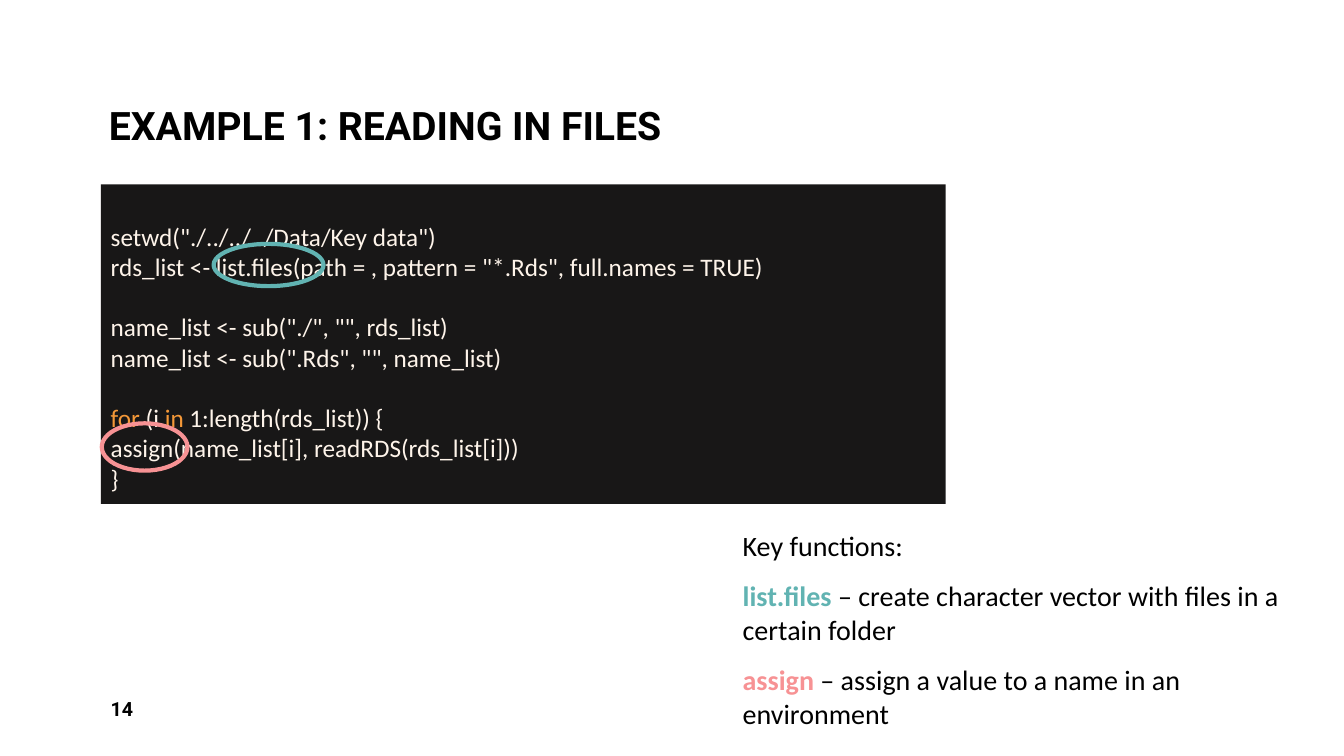
from pptx import Presentation
from pptx.dml.color import RGBColor
from pptx.enum.shapes import MSO_SHAPE
from pptx.enum.text import MSO_ANCHOR, PP_ALIGN
from pptx.util import Pt

BLACK, CREAM, PANEL = "000000", "FEF4EA", "181717"
ORANGE, TEAL, PINK = "F49838", "61B3B2", "F79294"
CODE_LINE = 21.6


def rgb(value):
    return RGBColor.from_string(value)


def add_run(p, text, font="Calibri", size=18, color=BLACK, bold=False):
    r = p.add_run()
    r.text = text
    r.font.name = font
    r.font.size = Pt(size)
    r.font.bold = bold
    r.font.color.rgb = rgb(color)


class SlideBuilder:
    def __init__(self, prs):
        self.s = prs.slides.add_slide(prs.slide_layouts[6])

    def fill_text(self, sp, paragraphs, anchor=MSO_ANCHOR.TOP, line=None, after=0, **style):
        """Fill a shape; each paragraph is a list of (text, overrides) pairs."""
        tf = sp.text_frame
        tf.word_wrap = True
        tf.vertical_anchor = anchor
        for i, runs in enumerate(paragraphs):
            p = tf.add_paragraph() if i else tf.paragraphs[0]
            p.alignment = PP_ALIGN.LEFT
            p.space_after = Pt(after)
            if line:
                p.line_spacing = line
            for text, overrides in runs:
                add_run(p, text, **{**style, **overrides})
        return tf

    def text(self, box, paragraphs, **style):
        return self.fill_text(self.s.shapes.add_textbox(*map(Pt, box)), paragraphs, **style)

    def shape(self, kind, box, fill=None, line=None):
        sp = self.s.shapes.add_shape(kind, *map(Pt, box))
        sp.shadow.inherit = False
        if fill:
            sp.fill.solid()
            sp.fill.fore_color.rgb = rgb(fill)
        else:
            sp.fill.background()
        if line:
            sp.line.color.rgb = rgb(line)
            sp.line.width = Pt(3)
        else:
            sp.line.fill.background()
        return sp

    def code(self, box, blocks):
        """Draw a dark panel with blocks of code set one line apart."""
        sp = self.shape(MSO_SHAPE.RECTANGLE, box, fill=PANEL)
        lines = [line for block in blocks for line in block]
        tf = self.fill_text(sp, lines, line=Pt(CODE_LINE), color=CREAM)
        tf.margin_top = Pt(CODE_LINE + 4.4)
        start = 0
        for block in blocks[:-1]:
            start += len(block)
            tf.paragraphs[start].space_before = Pt(CODE_LINE)

    def ring(self, box, color):
        self.shape(MSO_SHAPE.OVAL, box, line=color)


def main():
    prs = Presentation()
    prs.slide_width, prs.slide_height = Pt(960), Pt(540)
    slide = SlideBuilder(prs)

    slide.text((70.6, 5.8, 819.4, 104.4), [[("EXAMPLE 1: READING IN FILES", {})]],
               anchor=MSO_ANCHOR.BOTTOM, line=0.9, font="Roboto", size=28, bold=True)

    keyword = {"color": ORANGE}
    slide.code((72, 131.8, 603.4, 228.2), [
        [[('setwd("./../../../Data/Key data")', {})],
         [('rds_list <- list.files(path = , pattern = "*.Rds", full.names = TRUE)', {})]],
        [[('name_list <- sub("./", "", rds_list)', {})],
         [('name_list <- sub(".Rds", "", name_list)', {})]],
        [[("for", keyword), (" (i ", {}), ("in", keyword), (" 1:length(rds_list)) {", {})],
         [("assign(name_list[i], readRDS(rds_list[i]))", {})],
         [("}", {})]],
    ])

    slide.text((523.4, 373.7, 404.6, 165.6), [
        [("Key functions:", {})],
        [("list.files ", {"color": TEAL, "bold": True}),
         ("– create character vector with files in a certain folder", {})],
        [("assign ", {"color": PINK, "bold": True}),
         ("– assign a value to a name in an environment", {})],
    ], size=20, after=12)

    slide.text((72, 491.8, 210.2, 28.8), [[("14", {})]],
               anchor=MSO_ANCHOR.MIDDLE, font="Roboto", size=14, bold=True)

    slide.ring((152.6, 174.2, 78.5, 30.2), TEAL)
    slide.ring((72.7, 302.4, 61.2, 33.8), PINK)
    prs.save("out.pptx")


if __name__ == "__main__":
    main()
